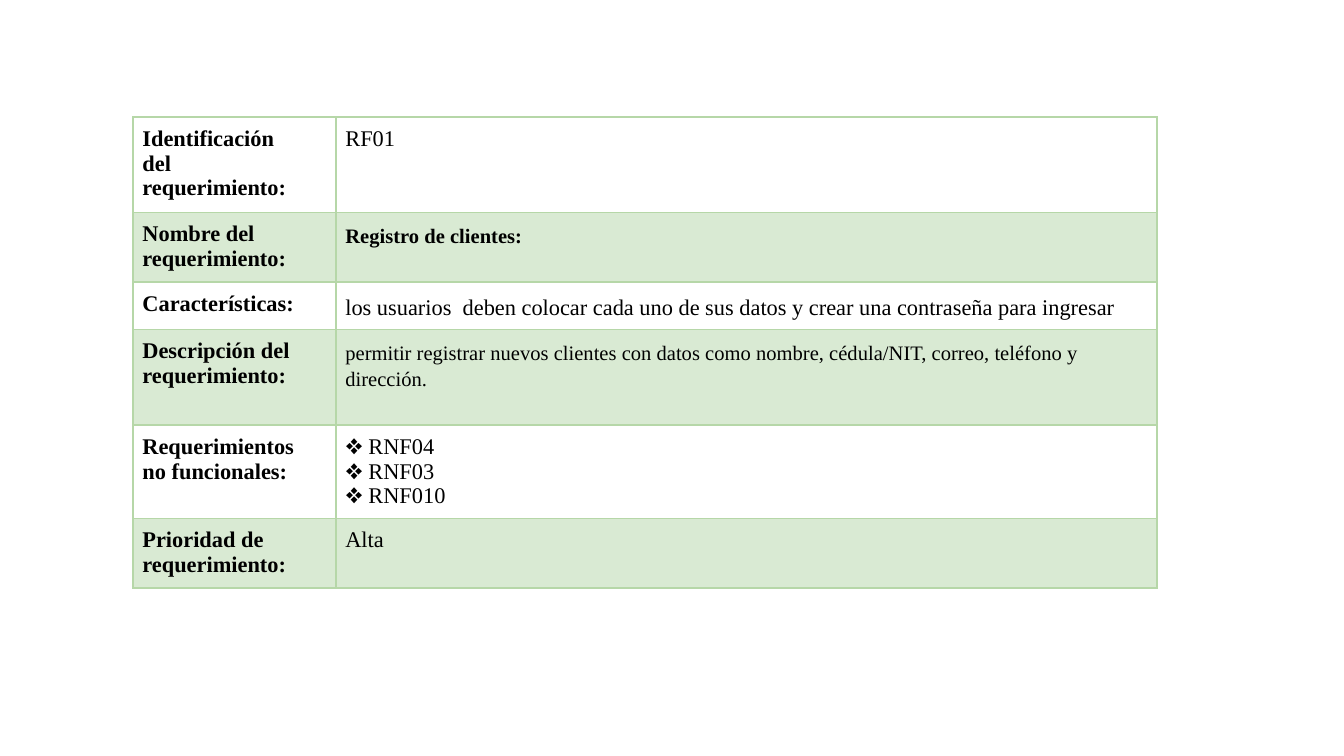
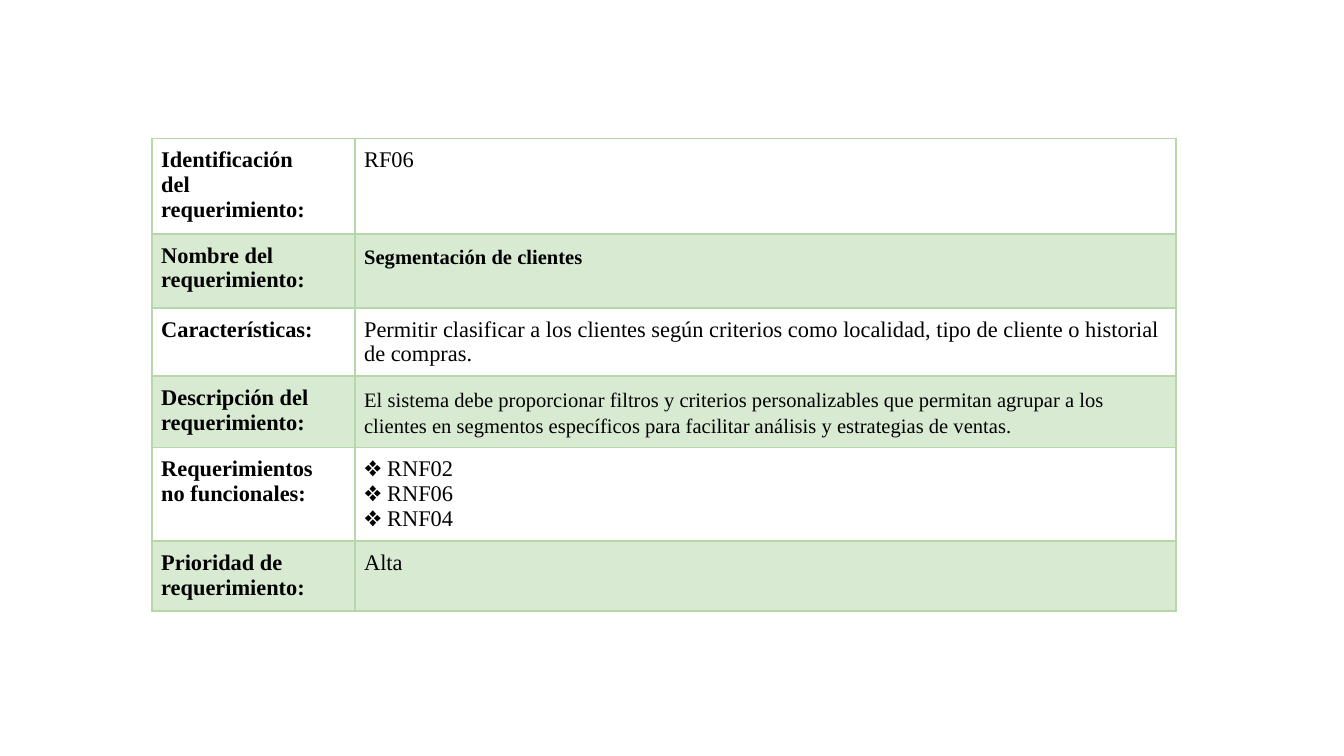
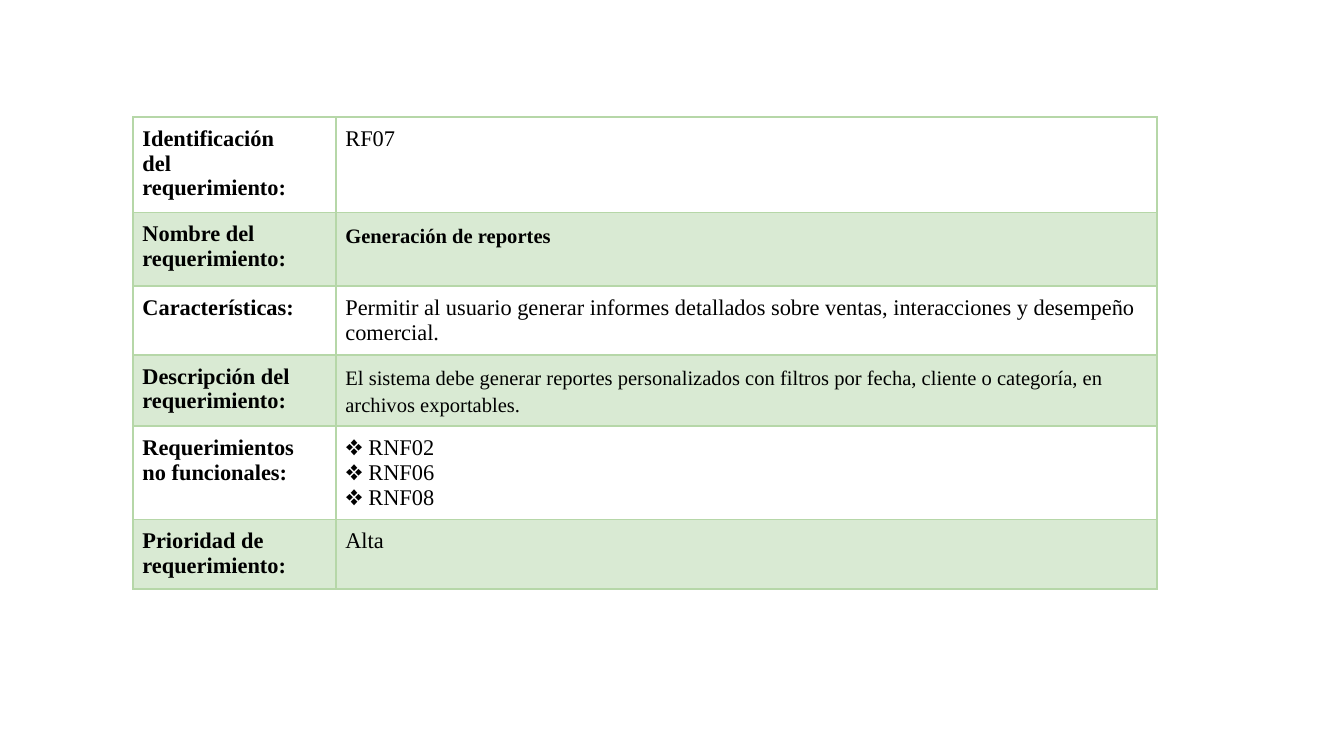
from lxml import etree
from pptx import Presentation
from pptx.dml.color import RGBColor
from pptx.oxml.ns import qn
from pptx.util import Inches, Pt

COLORS = {"text": "000000", "border": "B6D7A8", "band": "D9EAD3"}
FONT = "Times New Roman"
COLUMN_WIDTHS = [1.51, 6.11]
CELL_MARGIN = 0.07
LABELS = [
    "Identificación\ndel\nrequerimiento:",
    "Nombre del\nrequerimiento:",
    "Características:",
    "Descripción del\nrequerimiento:",
    "Requerimientos\nno funcionales:",
    "Prioridad de\nrequerimiento:",
]
NAME_ROW, FEATURES_ROW, DESCRIPTION_ROW = 1, 2, 3

# Each requirement: table position, row heights, rows with loose spacing, values
REQUIREMENTS = [
    {
        "position": (0.99, 0.87),
        "heights": [0.71, 0.52, 0.35, 0.71, 0.69, 0.52],
        "spaced": {NAME_ROW, FEATURES_ROW, DESCRIPTION_ROW},
        "values": [
            "RF01",
            "Registro de clientes:",
            "los usuarios  deben colocar cada uno de sus datos y crear una contraseña para ingresar",
            "permitir registrar nuevos clientes con datos como nombre, cédula/NIT, correo, "
            "teléfono y dirección.",
            "❖ RNF04\n❖ RNF03\n❖ RNF010",
            "Alta",
        ],
    },
    {
        "position": (1.13, 1.03),
        "heights": [0.71, 0.55, 0.51, 0.53, 0.69, 0.52],
        "spaced": {NAME_ROW, DESCRIPTION_ROW},
        "values": [
            "RF06",
            "Segmentación de clientes",
            "Permitir clasificar a los clientes según criterios como localidad, tipo de cliente "
            "o historial de compras.",
            "El sistema debe proporcionar filtros y criterios personalizables que permitan agrupar "
            "a los clientes en segmentos específicos para facilitar análisis y estrategias de ventas.",
            "❖ RNF02\n❖ RNF06\n❖ RNF04",
            "Alta",
        ],
    },
    {
        "position": (0.99, 0.87),
        "heights": [0.71, 0.55, 0.51, 0.53, 0.69, 0.52],
        "spaced": {NAME_ROW, DESCRIPTION_ROW},
        "values": [
            "RF07",
            "Generación de reportes",
            "Permitir al usuario generar informes detallados sobre ventas, interacciones y "
            "desempeño comercial.",
            "El sistema debe generar reportes personalizados con filtros por fecha, cliente o "
            "categoría, en archivos exportables.",
            "❖ RNF02\n❖ RNF06\n❖ RNF08",
            "Alta",
        ],
    },
]


def style_cell(cell, banded):
    """Set the margins, the four borders and the row band of a cell."""
    cell.margin_left = cell.margin_right = Inches(CELL_MARGIN)
    cell.margin_top = cell.margin_bottom = Inches(CELL_MARGIN)
    properties = cell._tc.get_or_add_tcPr()
    for side in ("lnL", "lnR", "lnT", "lnB"):
        line = etree.SubElement(properties, qn(f"a:{side}"), w=str(Pt(1)))
        fill = etree.SubElement(line, qn("a:solidFill"))
        etree.SubElement(fill, qn("a:srgbClr"), val=COLORS["border"])
    if banded:
        cell.fill.solid()
        cell.fill.fore_color.rgb = RGBColor.from_string(COLORS["band"])
    else:
        cell.fill.background()


def write_cell(cell, content, size, bold, spaced):
    cell.text = content
    for paragraph in cell.text_frame.paragraphs:
        paragraph.font.name = FONT
        paragraph.font.size = Pt(size)
        paragraph.font.bold = bold
        paragraph.font.color.rgb = RGBColor.from_string(COLORS["text"])
        if spaced:
            paragraph.line_spacing = 1.15
            paragraph.space_before = paragraph.space_after = Pt(12)


presentation = Presentation()
presentation.slide_width = Inches(10)
presentation.slide_height = Inches(10 * 9 / 16)
blank_layout = presentation.slide_layouts[6]

for requirement in REQUIREMENTS:
    slide = presentation.slides.add_slide(blank_layout)
    left, top = requirement["position"]
    heights = requirement["heights"]
    table = slide.shapes.add_table(
        len(LABELS), len(COLUMN_WIDTHS), Inches(left), Inches(top),
        Inches(sum(COLUMN_WIDTHS)), Inches(sum(heights)),
    ).table
    table.first_row = table.horz_banding = False
    for column, width in zip(table.columns, COLUMN_WIDTHS):
        column.width = Inches(width)

    for index, (label, value) in enumerate(zip(LABELS, requirement["values"])):
        table.rows[index].height = Inches(heights[index])
        label_cell, value_cell = table.rows[index].cells
        for cell in (label_cell, value_cell):
            style_cell(cell, banded=index % 2 == 1)
        write_cell(label_cell, label, 12, True, False)
        value_size = 11 if index in (NAME_ROW, DESCRIPTION_ROW) else 12
        write_cell(value_cell, value, value_size, index == NAME_ROW, index in requirement["spaced"])

presentation.save("out.pptx")
